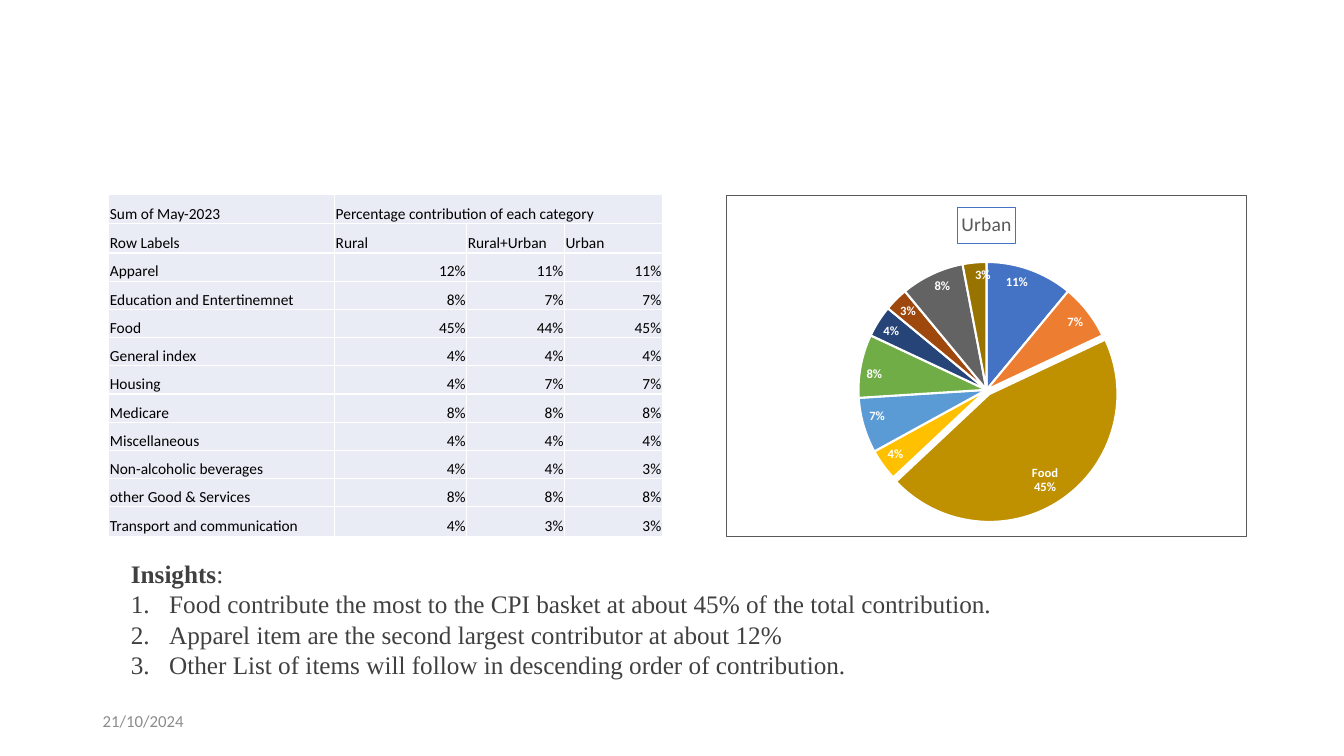
from dataclasses import dataclass

from lxml.etree import SubElement
from pptx import Presentation
from pptx.chart.data import CategoryChartData
from pptx.dml.color import RGBColor
from pptx.enum.chart import XL_CHART_TYPE, XL_LABEL_POSITION
from pptx.enum.text import MSO_ANCHOR, PP_ALIGN
from pptx.oxml import parse_xml
from pptx.oxml.ns import nsdecls, qn
from pptx.util import Inches, Pt


@dataclass
class Item:
    name: str
    rural: int
    both: int
    urban: int
    color: str


@dataclass
class Box:
    left: float
    top: float
    width: float
    height: float

    def place(self) -> list:
        return [Inches(v) for v in (self.left, self.top, self.width, self.height)]


ITEMS = [
    Item("Apparel", 12, 11, 11, "4472C4"),
    Item("Education and Entertinemnet", 8, 7, 7, "ED7D31"),
    Item("Food", 45, 44, 45, "BF9000"),
    Item("General index", 4, 4, 4, "FFC000"),
    Item("Housing", 4, 7, 7, "5B9BD5"),
    Item("Medicare", 8, 8, 8, "70AD47"),
    Item("Miscellaneous", 4, 4, 4, "264478"),
    Item("Non-alcoholic beverages", 4, 4, 3, "9E480E"),
    Item("other Good & Services", 8, 8, 8, "636363"),
    Item("Transport and communication", 4, 3, 3, "997300"),
]
HEADS = [
    ["Sum of May-2023", "Percentage contribution of each category", "", ""],
    ["Row Labels", "Rural", "Rural+Urban", "Urban"],
]
INSIGHTS = [
    "Food contribute the most to the CPI basket at about 45% of the total contribution.",
    "Apparel item are the second largest contributor at about 12%",
    "Other List of items will follow in descending order of contribution.",
]
COLS = [2.24, 1.31, 0.97, 0.97]


def rgb(code: str) -> RGBColor:
    return RGBColor.from_string(code)


def style(font, size: float, color: str, face: str = "Calibri", bold: bool = False) -> None:
    font.size, font.name, font.bold = Pt(size), face, bold
    font.color.rgb = rgb(color)


def write(para, text: str, align=PP_ALIGN.LEFT, **form) -> None:
    para.alignment = align
    run = para.add_run()
    run.text = text
    style(run.font, **form)


def edge(cell, color: str, width: float) -> None:
    props = cell._tc.get_or_add_tcPr()
    for at, side in enumerate(("lnL", "lnR", "lnT", "lnB")):
        props.insert(at, parse_xml(
            f'<a:{side} {nsdecls("a")} w="{Pt(width)}"><a:solidFill>'
            f'<a:srgbClr val="{color}"/></a:solidFill></a:{side}>'))


def add_grid(slide, box: Box) -> None:
    rows = HEADS + [[i.name] + [f"{v}%" for v in (i.rural, i.both, i.urban)] for i in ITEMS]
    table = slide.shapes.add_table(len(rows), len(COLS), *box.place()).table
    for col, width in zip(table.columns, COLS):
        col.width = Inches(width)
    for r, row in enumerate(rows):
        table.rows[r].height = Inches(0.29 if r in (0, 1, len(rows) - 1) else 0.28)
        for c, text in enumerate(row):
            cell = table.cell(r, c)
            cell.fill.solid()
            cell.fill.fore_color.rgb = rgb("E9EBF5")
            edge(cell, "FFFFFF", 1)
            cell.vertical_anchor = MSO_ANCHOR.BOTTOM
            cell.margin_left = cell.margin_right = cell.margin_top = Inches(0.01)
            cell.margin_bottom = 0
            if text:
                side = PP_ALIGN.RIGHT if r > 1 and c else PP_ALIGN.LEFT
                write(cell.text_frame.paragraphs[0], text, side, size=11, color="000000")
    table.cell(0, 1).merge(table.cell(0, 3))


def add_pie(slide, box: Box) -> None:
    data = CategoryChartData(number_format="0%")
    data.categories = [i.name for i in ITEMS]
    data.add_series("Urban", [i.urban / 100 for i in ITEMS])
    chart = slide.shapes.add_chart(XL_CHART_TYPE.PIE, *box.place(), data).chart
    chart.has_legend = False
    style(chart.font, 10, "000000")

    # Boxed title
    title = chart.chart_title
    write(title.text_frame.paragraphs[0], "Urban", PP_ALIGN.CENTER, size=14, color="595959")
    title.include_in_layout = False
    title.format.line.color.rgb = rgb("4472C4")
    title.format.line.width = Pt(0.75)

    # Chart frame
    chart._chartSpace.find(qn("c:txPr")).addprevious(parse_xml(
        f'<c:spPr {nsdecls("c", "a")}><a:noFill/><a:ln w="{Pt(0.75)}"><a:solidFill>'
        '<a:srgbClr val="595959"/></a:solidFill></a:ln></c:spPr>'))

    # Labels: Food shows its name and share, the rest their value
    plot = chart.plots[0]
    plot.vary_by_categories = True
    pie = plot.series[0]
    tags = pie.data_labels
    tags.show_value = False
    tags.show_category_name = tags.show_percentage = True
    tags.number_format, tags.number_format_is_linked = "0%", False
    tags.position = XL_LABEL_POSITION.INSIDE_END
    style(tags.font, 9, "FFFFFF", bold=True)
    gap = parse_xml(f'<c:separator {nsdecls("c")}>\n</c:separator>')
    tags._element.find(qn("c:showPercent")).addnext(gap)
    size = tags._element.find(qn("c:showBubbleSize"))
    if size is not None:
        size.addnext(gap)

    # Slices
    for n, item in enumerate(ITEMS):
        point = pie.points[n]
        point.format.fill.solid()
        point.format.fill.fore_color.rgb = rgb(item.color)
        point.format.line.color.rgb = rgb("FFFFFF")
        point.format.line.width = Pt(1.5)
        if item.name == "Food":
            burst = parse_xml(f'<c:explosion {nsdecls("c")} val="4"/>')
            point.format._element.find(qn("c:spPr")).addprevious(burst) \
                if hasattr(point.format, "_element") else \
                pie._element.findall(qn("c:dPt"))[n].find(qn("c:spPr")).addprevious(burst)
        else:
            style(point.data_label.font, 9, "FFFFFF", bold=True)
            point.data_label.position = XL_LABEL_POSITION.INSIDE_END


def add_box(slide, box: Box, anchor=MSO_ANCHOR.TOP):
    frame = slide.shapes.add_textbox(*box.place()).text_frame
    frame.word_wrap = True
    frame.vertical_anchor = anchor
    return frame


def add_notes(slide, box: Box) -> None:
    form = dict(size=18, color="404040", face="Times New Roman")
    frame = add_box(slide, box)
    head = frame.paragraphs[0]
    write(head, "Insights", bold=True, **form)
    write(head, ":", **form)
    for text in INSIGHTS:
        para = frame.add_paragraph()
        write(para, text, **form)
        props = para._p.get_or_add_pPr()
        props.set("marL", str(Inches(0.38)))
        props.set("indent", str(-Inches(0.38)))
        SubElement(props, qn("a:buAutoNum"), type="arabicPeriod")


def main() -> None:
    deck = Presentation()
    deck.slide_width, deck.slide_height = Inches(13.33), Inches(7.5)
    slide = deck.slides.add_slide(deck.slide_layouts[6])
    add_grid(slide, Box(1.08, 1.93, 5.49, 3.4))
    add_pie(slide, Box(7.2, 1.93, 5.17, 3.4))
    add_notes(slide, Box(1.2, 5.49, 11.17, 1.31))
    date = add_box(slide, Box(0.92, 6.95, 3, 0.4), MSO_ANCHOR.MIDDLE)
    write(date.paragraphs[0], "21/10/2024", size=12, color="8C8C8C")
    deck.save("out.pptx")


if __name__ == "__main__":
    main()
